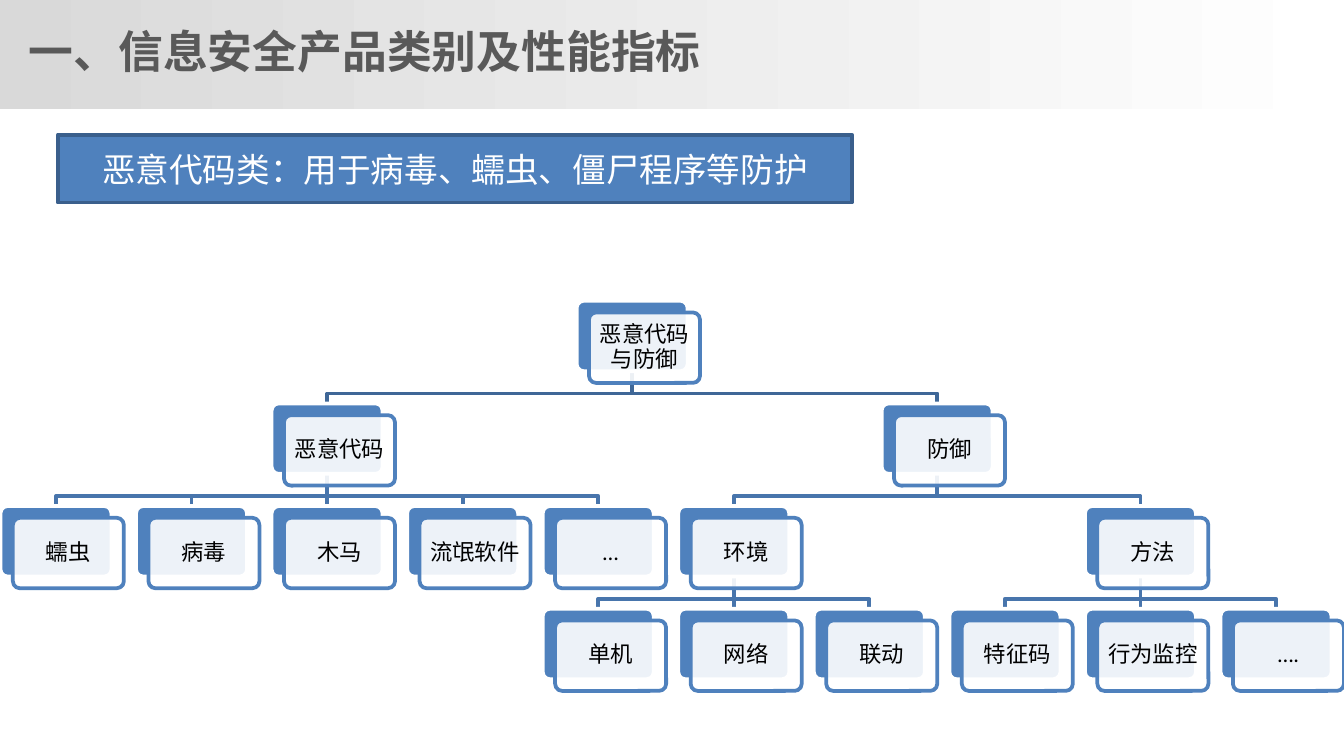
from dataclasses import dataclass

from lxml.etree import SubElement
from pptx import Presentation
from pptx.dml.color import RGBColor
from pptx.enum.shapes import MSO_CONNECTOR, MSO_SHAPE
from pptx.enum.text import MSO_ANCHOR, MSO_AUTO_SIZE, PP_ALIGN
from pptx.oxml.ns import qn
from pptx.util import Inches, Pt


@dataclass(frozen=True)
class Theme:
    blue: RGBColor = RGBColor.from_string("4F81BD")
    banner_line: RGBColor = RGBColor.from_string("3A5F8C")
    upper_line: RGBColor = RGBColor.from_string("3F6797")
    lower_line: RGBColor = RGBColor.from_string("4875AC")
    header: RGBColor = RGBColor.from_string("D9D9D9")
    title: RGBColor = RGBColor.from_string("595959")
    white: RGBColor = RGBColor.from_string("FFFFFF")
    black: RGBColor = RGBColor.from_string("000000")
    latin: str = "Calibri"
    chinese: str = "Noto Sans CJK SC"
    title_size: Pt = Pt(24)
    banner_size: Pt = Pt(18)
    card_size: Pt = Pt(12)
    line_width: Pt = Pt(2)


theme = Theme()
presentation = Presentation()
presentation.slide_width = Inches(10)
presentation.slide_height = presentation.slide_width * 9 // 16
slide = presentation.slides.add_slide(presentation.slide_layouts[6])
across = presentation.slide_width / 100
down = presentation.slide_height / 100


def add_panel(kind, left, top, width, height, fill, line):
    shape = slide.shapes.add_shape(
        kind, round(left * across), round(top * down), round(width * across), round(height * down)
    )
    shape.shadow.inherit = False
    shape.fill.solid()
    shape.fill.fore_color.rgb = fill
    shape.line.color.rgb = line
    shape.line.width = theme.line_width
    return shape


def write(shape, text, latin, size, color, bold=False, alignment=PP_ALIGN.CENTER):
    shape.text_frame.text = text
    paragraph = shape.text_frame.paragraphs[0]
    paragraph.alignment = alignment
    font = paragraph.runs[0].font
    font.size, font.bold, font.color.rgb, font.name = size, bold, color, latin
    SubElement(paragraph.runs[0]._r.get_or_add_rPr(), qn("a:ea"), typeface=theme.chinese)
    return paragraph


header = add_panel(MSO_SHAPE.RECTANGLE, 0, 0, 100, 14.4, theme.header, theme.header)
header.line.fill.background()
header.fill.gradient()
header.fill.gradient_angle = 0
for stop, color in zip(header.fill.gradient_stops, (theme.header, theme.white)):
    stop.color.rgb = color

title = slide.shapes.add_textbox(
    round(1.15 * across), round(2.31 * down), round(86.3 * across), round(8.97 * down)
)
title.text_frame.word_wrap = True
title.text_frame.auto_size = MSO_AUTO_SIZE.SHAPE_TO_FIT_TEXT
write(title, "一、信息安全产品类别及性能指标", theme.chinese, theme.title_size, theme.title, True, PP_ALIGN.LEFT)

banner = add_panel(MSO_SHAPE.RECTANGLE, 4.3, 17.82, 59.1, 8.97, theme.blue, theme.banner_line)
banner.text_frame.vertical_anchor = MSO_ANCHOR.MIDDLE
write(banner, "恶意代码类：用于病毒、蠕虫、僵尸程序等防护", theme.latin, theme.banner_size, theme.white)

nodes = {
    "root": ("恶意代码与防御", 4.25, 0, None),
    "malware": ("恶意代码", 2, 1, "root"),
    "worm": ("蠕虫", 0, 2, "malware"),
    "virus": ("病毒", 1, 2, "malware"),
    "trojan": ("木马", 2, 2, "malware"),
    "rogue": ("流氓软件", 3, 2, "malware"),
    "other malware": ("…", 4, 2, "malware"),
    "defence": ("防御", 6.5, 1, "root"),
    "environment": ("环境", 5, 2, "defence"),
    "standalone": ("单机", 4, 3, "environment"),
    "network": ("网络", 5, 3, "environment"),
    "linkage": ("联动", 6, 3, "environment"),
    "method": ("方法", 8, 2, "defence"),
    "signature": ("特征码", 7, 3, "method"),
    "behaviour": ("行为监控", 8, 3, "method"),
    "other methods": ("….", 9, 3, "method"),
}
card_width, card_height = 8.26, 9.32
offset_left, offset_top = 0.92, 1.55
tree_left, tree_top = 0.04, 39.79
column_step = (100 - tree_left - card_width - offset_left) / 9
row_step = 13.58
bus_drop = 2.94

straight_links = []
for name, (text, column, row, parent) in reversed(nodes.items()):
    if parent is None:
        continue
    parent_column, parent_row = nodes[parent][1:3]
    start, end = (
        round((tree_left + position * column_step + card_width / 2) * across)
        for position in (parent_column, column)
    )
    parent_bottom = tree_top + parent_row * row_step + card_height
    top, bus, bottom = (
        round(level * down)
        for level in (parent_bottom, parent_bottom + bus_drop, tree_top + row * row_step)
    )
    if start == end:
        link = slide.shapes.add_connector(MSO_CONNECTOR.STRAIGHT, start, top, end, bottom)
        SubElement(link._element.spPr, qn("a:effectLst"))
        straight_links.append((link, parent, name))
    else:
        builder = slide.shapes.build_freeform(start, top)
        builder.add_line_segments([(start, bus), (end, bus), (end, bottom)], close=False)
        link = builder.convert_to_shape()
        link.fill.background()
        link.shadow.inherit = False
    link.line.color.rgb = theme.upper_line if row == 1 else theme.lower_line
    link.line.width = theme.line_width

backs = {}
for name, (text, column, row, parent) in nodes.items():
    left, top = tree_left + column * column_step, tree_top + row * row_step
    back = add_panel(
        MSO_SHAPE.ROUNDED_RECTANGLE, left, top, card_width, card_height, theme.blue, theme.white
    )
    card = add_panel(
        MSO_SHAPE.ROUNDED_RECTANGLE, left + offset_left, top + offset_top,
        card_width, card_height, theme.white, theme.blue,
    )
    back.adjustments[0] = card.adjustments[0] = 0.1
    SubElement(card._element.spPr.find(qn("a:solidFill"))[0], qn("a:alpha"), val="90000")
    frame = card.text_frame
    frame.word_wrap = True
    frame.vertical_anchor = MSO_ANCHOR.MIDDLE
    frame.margin_left = frame.margin_right = round(0.6 * across)
    frame.margin_top = frame.margin_bottom = round(1.1 * down)
    paragraph = write(card, text, theme.latin, theme.card_size, theme.black)
    paragraph.line_spacing = 0.9
    backs[name] = back

for link, parent, name in straight_links:
    link.begin_connect(backs[parent], 2)
    link.end_connect(backs[name], 0)

presentation.save("out.pptx")
